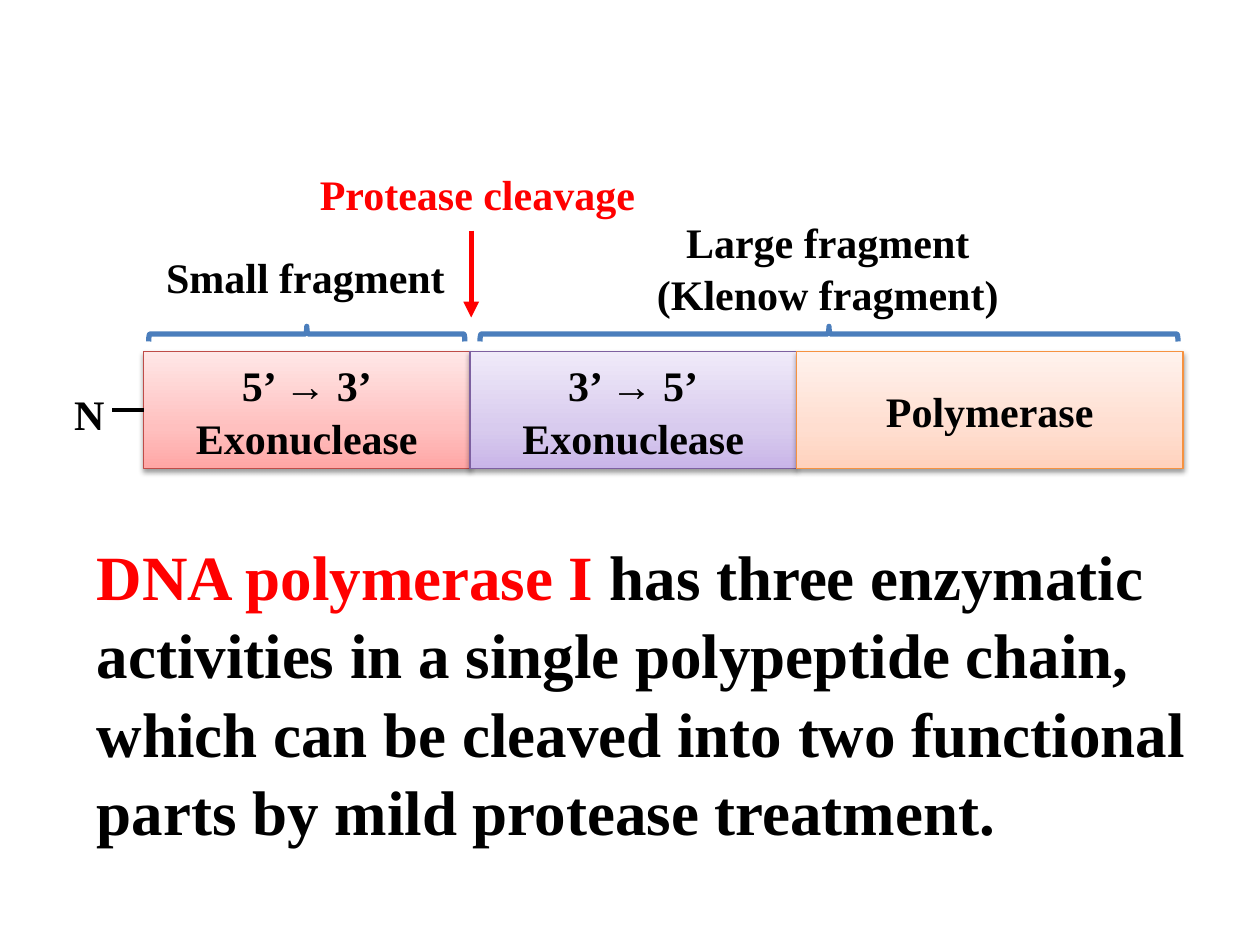
"""Draw the domain map of DNA polymerase I with its protease cleavage site."""
from lxml import etree
from pptx import Presentation
from pptx import util as u
from pptx.dml.color import RGBColor
from pptx.enum import shapes, text
from pptx.oxml import parse_xml
from pptx.oxml.ns import qn

FONT = "Times New Roman"
BLACK, RED, BLUE = "000000", "FF0000", "4B7EBC"
LEFT, TOP, HIGH = 1.14, 2.79, 0.93
MID = TOP + HIGH / 2
STOPS = (0, 35, 100)

DOMAINS = [
    (["5’ → 3’", "Exonuclease"], 2.59, ("FFA6A5", "FFC0BF", "FFE7E7"), "BF4C48"),
    (["3’ → 5’", "Exonuclease"], 2.59, ("C9B5E8", "D8CBEE", "F0EAF9"), "7D60A0"),
    (["Polymerase"], 3.07, ("FFD2BD", "FFDED0", "FFF2ED"), "F69240"),
]
BRACES = [(1.18, 2.51), (3.81, 5.54)]
LABELS = [
    (["N"], (0.49, 3.02, 0.46, 0.5), BLACK),
    (["Small fragment"], (1.22, 1.93, 2.44, 0.5), BLACK),
    (["Large fragment", "(Klenow fragment)"], (5.1, 1.65, 2.94, 0.91), BLACK),
    (["Protease cleavage"], (2.44, 1.27, 2.71, 0.5), RED),
]
BODY = [
    ("DNA polymerase I ", RED),
    ("has three enzymatic activities in a single polypeptide chain, "
     "which can be cleaved into two functional parts by mild protease "
     "treatment.", BLACK),
]
NS = 'xmlns:a="http://schemas.openxmlformats.org/drawingml/2006/main"'
SHADOW = (f'<a:effectLst {NS}><a:outerShdw blurRad="39370" dist="20320" '
          'dir="5400000" rotWithShape="0"><a:srgbClr val="000000">'
          '<a:alpha val="38000"/></a:srgbClr></a:outerShdw></a:effectLst>')


def color(code):
    return RGBColor.from_string(code)


def inches(*vals):
    return [u.Inches(v) for v in vals]


def write(frame, paras, size, align):
    for i, runs in enumerate(paras):
        para = frame.paragraphs[0] if i == 0 else frame.add_paragraph()
        para.alignment = align
        para.line_spacing = 1.04
        for words, code in runs:
            run = para.add_run()
            run.text = words
            font = run.font
            font.name, font.size, font.bold = FONT, u.Pt(size), True
            font.color.rgb = color(code)


def box(slide, place, paras, size, align, wrap):
    frame = slide.shapes.add_textbox(*inches(*place)).text_frame
    frame.word_wrap = wrap
    frame.auto_size = text.MSO_AUTO_SIZE.SHAPE_TO_FIT_TEXT
    write(frame, paras, size, align)


def domain(slide, x, lines, wide, fades, edge):
    rect = slide.shapes.add_shape(shapes.MSO_SHAPE.RECTANGLE,
                                  *inches(x, TOP, wide, HIGH))
    rect.fill.gradient()
    rect.fill.gradient_angle = 90
    stops = rect._element.spPr.find(".//" + qn("a:gsLst"))
    for old in list(stops):
        stops.remove(old)
    for pos, code in zip(STOPS, fades):
        stop = etree.SubElement(stops, qn("a:gs"), pos=str(pos * 1000))
        etree.SubElement(stop, qn("a:srgbClr"), val=code)
    rect.line.color.rgb = color(edge)
    rect.line.width = u.Pt(0.75)
    rect._element.spPr.append(parse_xml(SHADOW))
    rect.text_frame.vertical_anchor = text.MSO_ANCHOR.MIDDLE
    rect.text_frame.word_wrap = True
    write(rect.text_frame, [[(s, BLACK)] for s in lines], 24,
          text.PP_ALIGN.CENTER)
    return rect


def brace(slide, x, span, y=2.59, thick=0.12):
    mark = slide.shapes.add_shape(
        shapes.MSO_SHAPE.RIGHT_BRACE,
        *inches(x + (span - thick) / 2, y + (thick - span) / 2, thick, span))
    mark.rotation = 270
    mark.fill.background()
    mark.line.color.rgb = color(BLUE)
    mark.line.width = u.Pt(3)
    mark.shadow.inherit = False


def link(slide, ends, code, width):
    line = slide.shapes.add_connector(shapes.MSO_CONNECTOR.STRAIGHT,
                                      *inches(*ends))
    line.line.color.rgb = color(code)
    line.line.width = u.Pt(width)
    etree.SubElement(line._element.spPr, qn("a:effectLst"))
    return line


def main():
    deck = Presentation()
    deck.slide_width, deck.slide_height = inches(10, 7.5)
    slide = deck.slides.add_slide(deck.slide_layouts[6])

    x, rects = LEFT, []
    for lines, wide, fades, edge in DOMAINS:
        rects.append(domain(slide, x, lines, wide, fades, edge))
        x += wide
    stem = link(slide, (0.89, MID, LEFT, MID), BLACK, 2.25)
    stem.end_connect(rects[0], 1)
    for start, span in BRACES:
        brace(slide, start, span)
    arrow = link(slide, (3.74, 1.83, 3.74, 2.52), RED, 3)
    etree.SubElement(arrow.line._get_or_add_ln(), qn("a:tailEnd"),
                     type="triangle")

    for lines, place, code in LABELS:
        align = text.PP_ALIGN.CENTER if len(lines) > 1 else text.PP_ALIGN.LEFT
        box(slide, place, [[(s, code)] for s in lines], 24, align, False)
    box(slide, (0.67, 4.19, 8.92, 2.52), [BODY], 36, text.PP_ALIGN.LEFT, True)
    deck.save("out.pptx")


if __name__ == "__main__":
    main()
